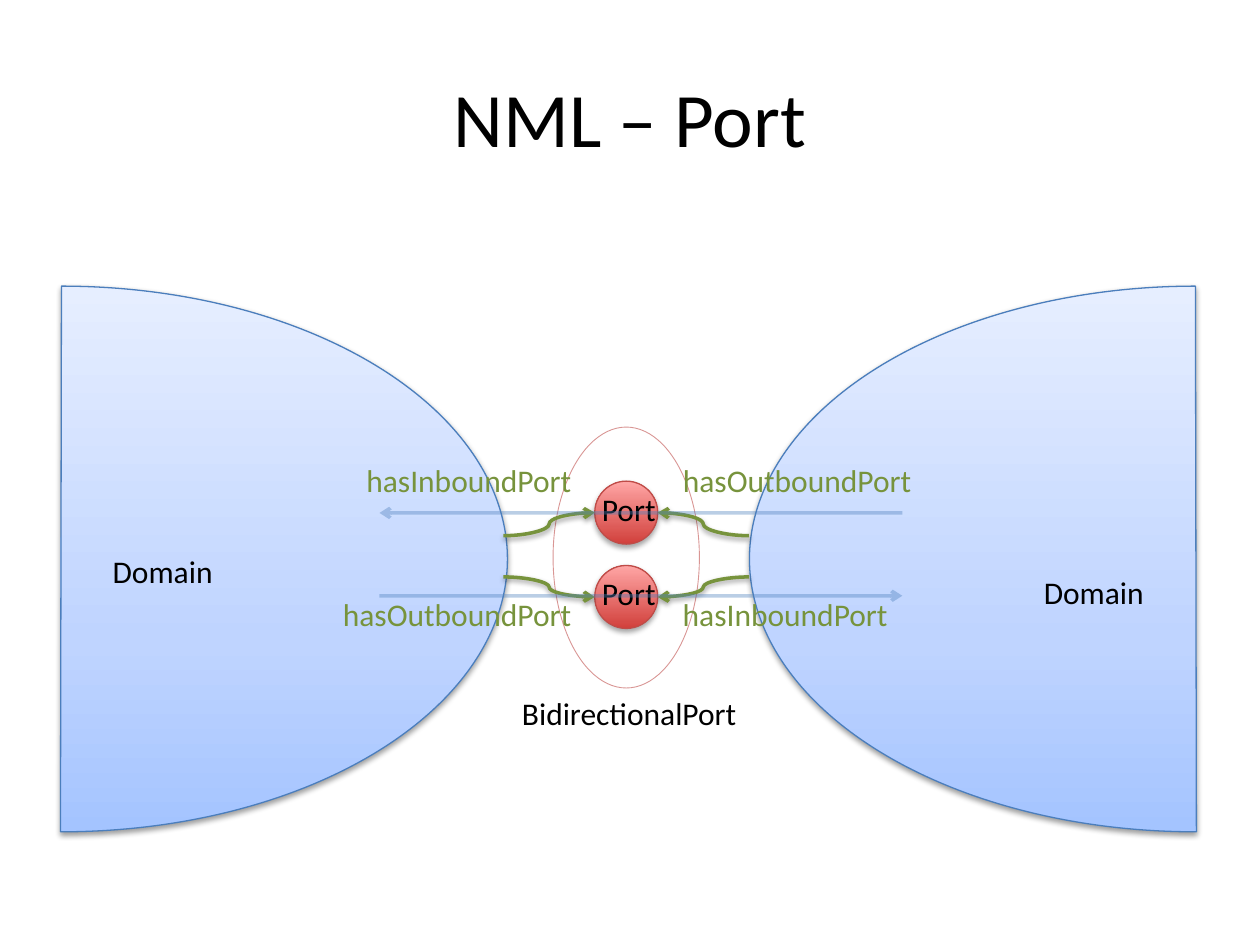
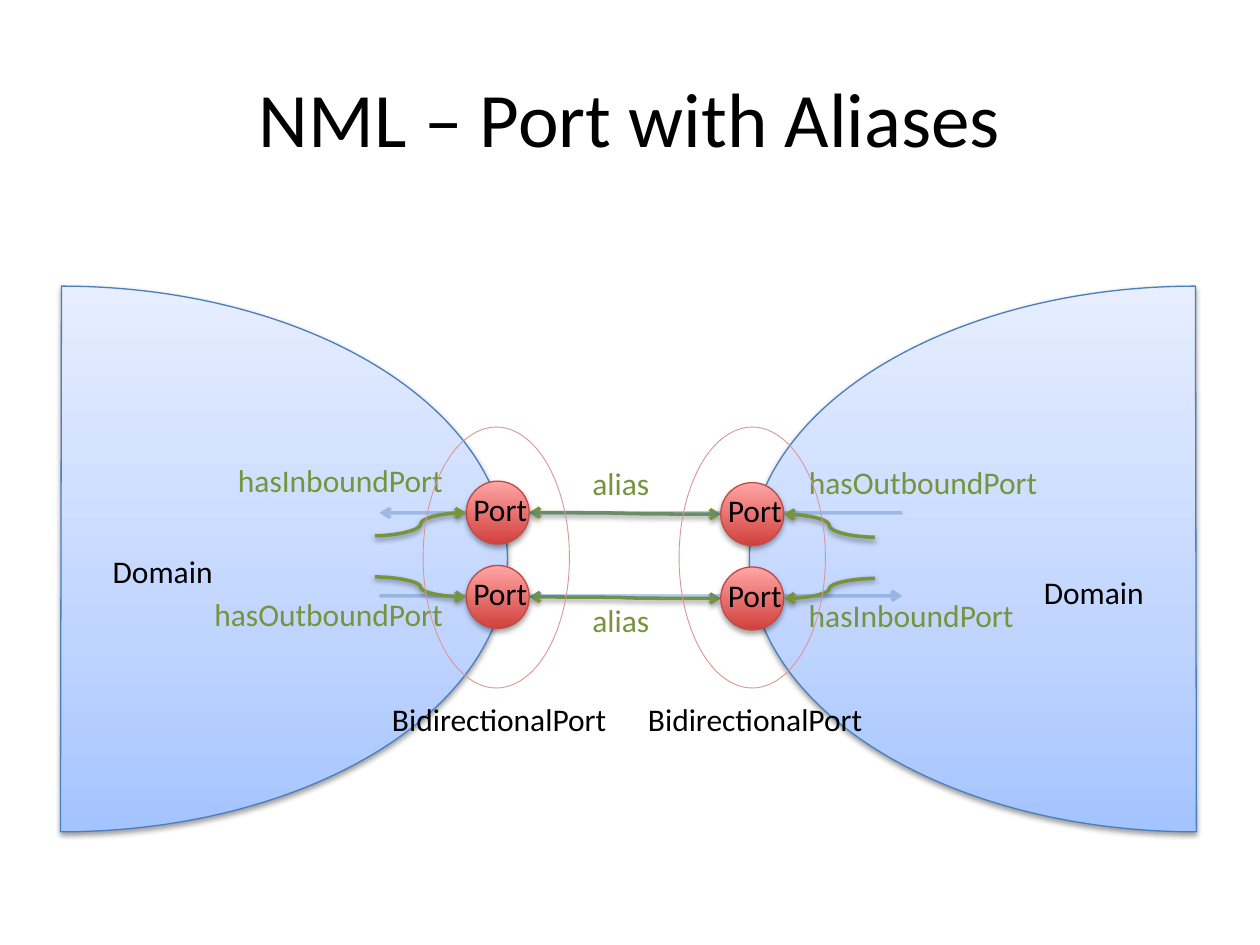
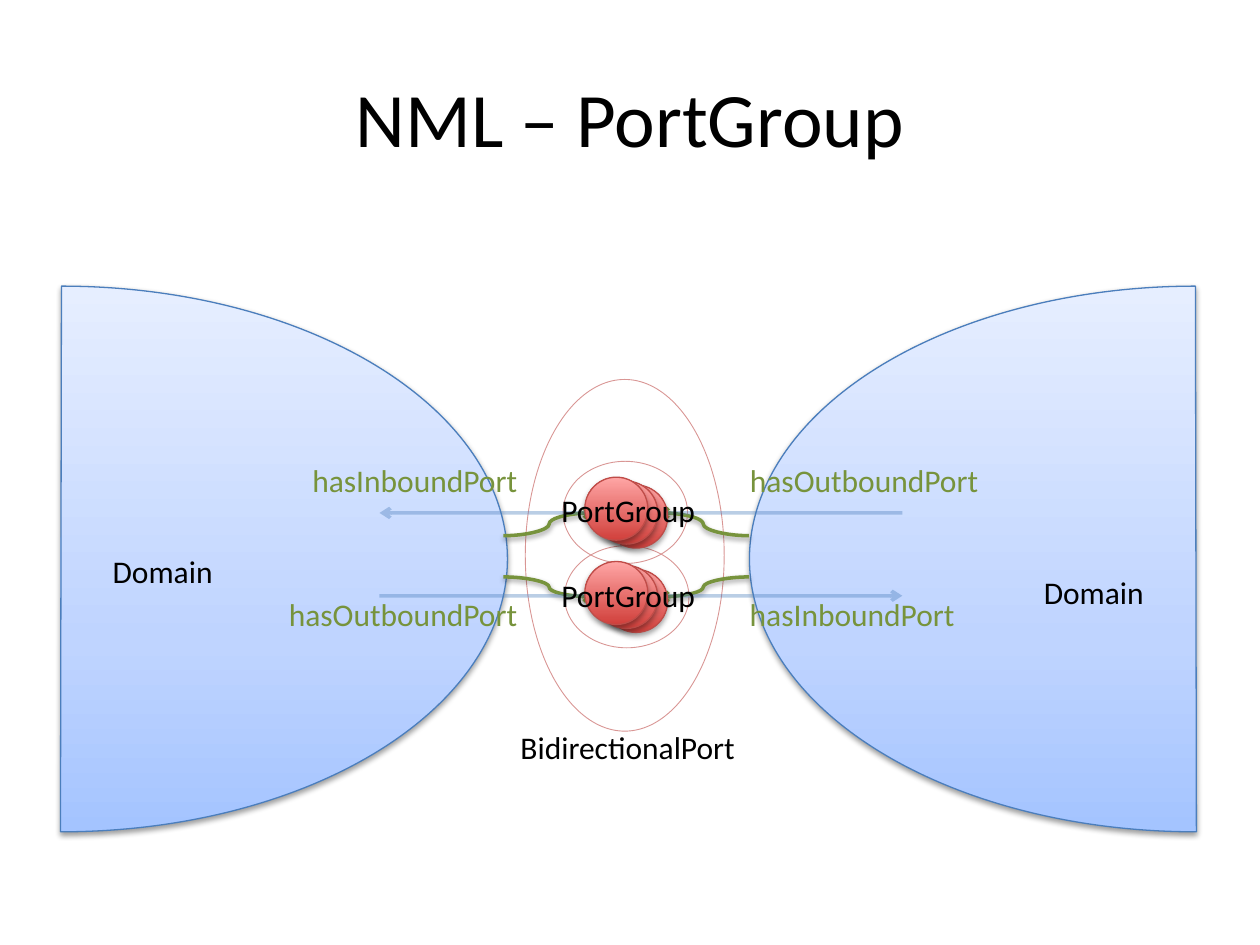
from lxml.etree import SubElement
from pptx import Presentation
from pptx.dml.color import RGBColor
from pptx.enum.shapes import MSO_CONNECTOR as Connector, MSO_SHAPE as Shape
from pptx.enum.text import MSO_ANCHOR as Anchor, MSO_AUTO_SIZE as AutoSize, PP_ALIGN as Align
from pptx.oxml.ns import qn
from pptx.util import Cm, Pt

FONT = "Calibri"
BLACK = "000000"
GREEN = "77933C"
FLOW_BLUE = "4F81BD"
DOMAIN_EDGE = "4B7EBC"
PORT_EDGE = "BF4C48"
GROUP_EDGE = "D99694"
DOMAIN_STOPS = [(0, "A4C4FF"), (35, "BFD4FF"), (100, "E6EEFF")]
PORT_STOPS = [(0, "D1403C"), (100, "FFA6A5")]

TEXT_HEIGHT = 1.02
PORT_SIZE = 1.27
ROW_PITCH = 1.7
PORT_TOP = 9.7
CENTRE_PORT = 11.99
LEFT, RIGHT = -1, 1


def colour(value):
    return RGBColor.from_string(value)


def set_effects(shape, alpha=0, blur=0, distance=0):
    effects = SubElement(shape.element.spPr, qn("a:effectLst"))
    if alpha:
        shadow = SubElement(effects, qn("a:outerShdw"), blurRad=str(Pt(blur)),
                            dist=str(Pt(distance)), dir="5400000", rotWithShape="0")
        shade = SubElement(shadow, qn("a:srgbClr"), val=BLACK)
        SubElement(shade, qn("a:alpha"), val=str(alpha * 1000))


def set_gradient(shape, stops):
    shape.fill.gradient()
    shape.fill.gradient_angle = 90
    stop_list = shape.element.spPr.find(".//" + qn("a:gsLst"))
    for old in list(stop_list):
        stop_list.remove(old)
    for position, value in stops:
        stop = SubElement(stop_list, qn("a:gs"), pos=str(position * 1000))
        SubElement(stop, qn("a:srgbClr"), val=value)


def write(frame, text, size=18, value=BLACK, align=Align.CENTER):
    para = frame.paragraphs[0]
    para.alignment = align
    span = para.add_run()
    span.text = text
    span.font.name = FONT
    span.font.size = Pt(size)
    span.font.color.rgb = colour(value)


def add_label(shapes, text, left, top, width, **style):
    box = shapes.add_textbox(Cm(left), Cm(top), Cm(width), Cm(TEXT_HEIGHT))
    box.text_frame.word_wrap = False
    box.text_frame.auto_size = AutoSize.SHAPE_TO_FIT_TEXT
    write(box.text_frame, text, **style)


def add_figure(shapes, kind, left, top, width, height, edge, weight, stops=None):
    figure = shapes.add_shape(kind, Cm(left), Cm(top), Cm(width), Cm(height))
    if stops:
        set_gradient(figure, stops)
    else:
        figure.fill.background()
    figure.line.color.rgb = colour(edge)
    figure.line.width = Pt(weight)
    return figure


def add_ring(page, left, top, width, height):
    set_effects(add_figure(page.shapes, Shape.OVAL, left, top, width, height, GROUP_EDGE, 0.5))


def add_ball(shapes, left, top):
    ball = add_figure(shapes, Shape.OVAL, left, top, PORT_SIZE, PORT_SIZE,
                      PORT_EDGE, 0.75, PORT_STOPS)
    set_effects(ball, alpha=35, blur=3.1, distance=1.8)


def add_arrow(page, kind, start, end, value, ends, alpha=None):
    arrow = page.shapes.add_connector(kind, *[Cm(length) for length in (*start, *end)])
    arrow.line.color.rgb = colour(value)
    arrow.line.width = Pt(2)
    line = arrow.element.spPr.find(qn("a:ln"))
    if alpha:
        SubElement(line.find(".//" + qn("a:srgbClr")), qn("a:alpha"), val=str(alpha * 1000))
    for end_tag in ends:
        SubElement(line, qn("a:" + end_tag), type="arrow")
    return arrow


def add_link(page, start, end, ends=("tailEnd",)):
    link = add_arrow(page, Connector.CURVE, start, end, GREEN, ends)
    set_effects(link, alpha=38, blur=3.1, distance=1.6)


def add_page(deck, title):
    page = deck.slides.add_slide(deck.slide_layouts[5])
    holder = page.shapes.title
    holder.left, holder.top, holder.width, holder.height = Cm(1.27), Cm(0.76), Cm(22.86), Cm(3.18)
    holder.text_frame.vertical_anchor = Anchor.MIDDLE
    write(holder.text_frame, title, size=44)
    for left, side in ((15.11, RIGHT), (-7.75, LEFT)):
        add_domain(page, left, 5.77, side)
    add_label(page.shapes, "Domain", 2.01, 11, 2.54)
    add_label(page.shapes, "Domain", 20.78, 11.43, 2.54)
    return page


def add_domain(page, left, top, side):
    domain = add_figure(page.shapes, Shape.CHORD, left, top, 17.98, 11,
                        DOMAIN_EDGE, 0.75, DOMAIN_STOPS)
    domain.adjustments[0] = 53.876
    domain.adjustments[1] = 162
    if side == LEFT:
        domain.element.spPr.find(qn("a:xfrm")).set("flipH", "1")
    set_effects(domain, alpha=38, blur=3.1, distance=1.6)


def add_bidirectional(page, left, top, width, height, label_gap):
    add_ring(page, left, top, width, height)
    label_width = 4.9
    add_label(page.shapes, "BidirectionalPort", left + (width - label_width) / 2 + 0.06,
              top + height + label_gap, label_width)


def add_ports(page, left, top):
    for row in range(2):
        group = page.shapes.add_group_shape()
        row_top = top + row * ROW_PITCH
        add_ball(group.shapes, left, row_top)
        add_label(group.shapes, "Port", left - 0.13, row_top + 0.05, 1.63)


def add_port_groups(page, left, top):
    for row in range(2):
        for step in (1, 0, -1):
            add_ball(page.shapes, left + step * 0.2, top + row * ROW_PITCH + step * 0.08)
    for row in range(2):
        add_label(page.shapes, "PortGroup", left - 0.94, top + row * ROW_PITCH + 0.08, 3.23)


def add_relations(page, left, top, side, gap):
    edge = left if side == LEFT else left + PORT_SIZE
    names = ["hasInboundPort", "hasOutboundPort"][::-side]
    widths = {"hasInboundPort": 4.7, "hasOutboundPort": 5.18}
    rows = ((1.1, -0.53), (1.93, 2.17))
    for row, (name, (start, label_top)) in enumerate(zip(names, rows)):
        centre = top + PORT_SIZE / 2 + row * ROW_PITCH
        add_link(page, (edge + side * 1.84, top + start), (edge, centre))
        label_left = edge - gap - widths[name] if side == LEFT else edge + gap
        add_label(page.shapes, name, label_left, top + label_top, widths[name], value=GREEN,
                  align=Align.RIGHT if side == LEFT else Align.CENTER)


def add_flows(page):
    for height, end_tag in ((10.34, "tailEnd"), (12.01, "headEnd")):
        flow = add_arrow(page, Connector.STRAIGHT, (18.19, height), (7.65, height),
                         FLOW_BLUE, [end_tag], alpha=38)
        set_effects(flow)


def add_aliases(page, left_port, right_port):
    for row, label_top in enumerate((9.22, 11.99)):
        start, end = [(x, top + PORT_SIZE / 2 + row * ROW_PITCH)
                      for x, top in ((left_port[0] + PORT_SIZE, left_port[1]), right_port)]
        add_link(page, start, end, ends=("headEnd", "tailEnd"))
        add_label(page.shapes, "alias", 11.66, label_top, 1.68, value=GREEN, align=Align.RIGHT)


def build_port(deck):
    page = add_page(deck, "NML – Port")
    add_bidirectional(page, 11.15, 8.61, 2.95, 5.26, 0)
    add_ports(page, CENTRE_PORT, PORT_TOP)
    for side in (LEFT, RIGHT):
        add_relations(page, CENTRE_PORT, PORT_TOP, side, 0.22)
    add_flows(page)


def build_aliases(deck):
    page = add_page(deck, "NML – Port with Aliases")
    left_port, right_port = (9.4, PORT_TOP), (14.53, PORT_TOP + 0.03)
    add_aliases(page, left_port, right_port)
    add_flows(page)
    for port, side in ((left_port, LEFT), (right_port, RIGHT)):
        add_ports(page, *port)
        add_relations(page, *port, side, 0.22)
    for left in (8.53, 13.69):
        add_bidirectional(page, left, 8.61, 2.95, 5.26, 0.12)


def build_port_group(deck):
    page = add_page(deck, "NML – PortGroup")
    for left, top in ((11.35, 9.3), (11.38, 11)):
        add_ring(page, left, top, 2.51, 2.06)
    add_bidirectional(page, 10.59, 7.65, 4.01, 7.09, -0.19)
    for side, gap in ((LEFT, 1.31), (RIGHT, 1.57)):
        add_relations(page, CENTRE_PORT, PORT_TOP, side, gap)
    add_flows(page)
    add_port_groups(page, CENTRE_PORT, PORT_TOP)


def main():
    deck = Presentation()
    deck.slide_width, deck.slide_height = Cm(25.4), Cm(19.05)
    for build in (build_port, build_aliases, build_port_group):
        build(deck)
    deck.save("out.pptx")


if __name__ == "__main__":
    main()
